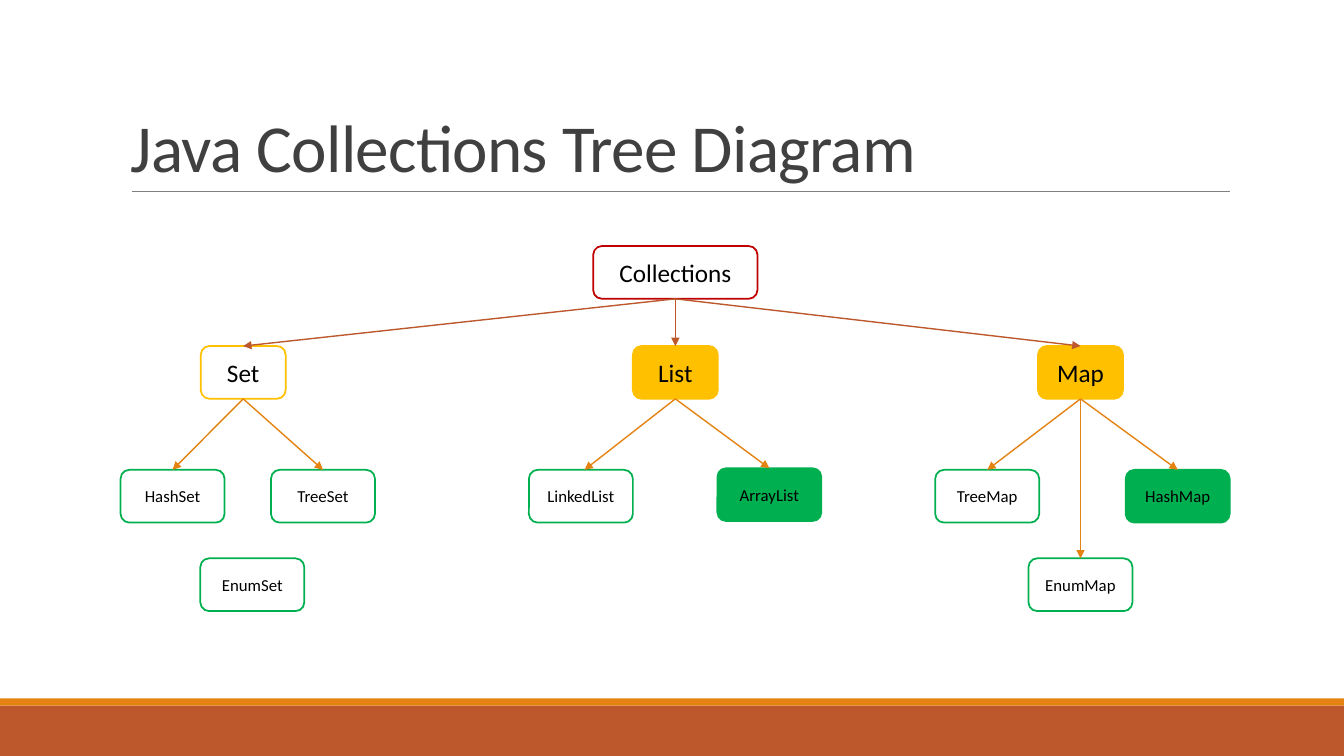
from dataclasses import dataclass

from lxml.etree import SubElement
from pptx import Presentation
from pptx.dml.color import RGBColor
from pptx.enum.shapes import MSO_CONNECTOR as Link, MSO_SHAPE as Form
from pptx.enum.text import MSO_ANCHOR as Anchor, PP_ALIGN as Align
from pptx.oxml.ns import qn
from pptx.shapes.autoshape import Shape
from pptx.shapes.connector import Connector
from pptx.slide import Slide
from pptx.text.text import _Run as Run
from pptx.util import Cm, Pt

WHITE, BLACK, GREY, DARK = "FFFFFF", "000000", "808080", "404040"
RED, GOLD, GREEN = "C00000", "FFC000", "00B050"
RUST, AMBER = "BD582C", "E48312"
HIGH = 1.33


@dataclass(frozen=True)
class Level:
    wide: float
    size: int
    edge: str
    arrow: str = ""


ROOT = Level(4.14, 18, RED)
KIND = Level(2.14, 18, GOLD, RUST)
LEAF = Level(2.62, 12, GREEN, AMBER)


@dataclass(frozen=True)
class Node:
    """A box by centre and top in cm; tip shifts the arrow end sideways."""
    text: str
    level: Level
    mid: float
    top: float
    up: str = ""
    full: bool = False
    tip: float = 0


NODES = [
    Node("Collections", ROOT, 17.02, 6.2),
    Node("Set", KIND, 6.13, 8.72, "Collections"),
    Node("List", KIND, 17.02, 8.72, "Collections", True),
    Node("Map", KIND, 27.23, 8.72, "Collections", True),
    Node("HashSet", LEAF, 4.35, 11.84, "Set"),
    Node("EnumSet", LEAF, 6.36, 14.07),
    Node("TreeSet", LEAF, 8.14, 11.84, "Set"),
    Node("LinkedList", LEAF, 14.64, 11.84, "List", tip=0.09),
    Node("ArrayList", LEAF, 19.39, 11.8, "List", True),
    Node("TreeMap", LEAF, 24.88, 11.84, "Map"),
    Node("EnumMap", LEAF, 27.23, 14.07, "Map"),
    Node("HashMap", LEAF, 29.68, 11.84, "Map", True),
]


def tint(code: str) -> RGBColor:
    return RGBColor.from_string(code)


def style(run: Run, size: int, code: str) -> None:
    for key, value in {"name": "Calibri", "size": Pt(size)}.items():
        setattr(run.font, key, value)
    run.font.color.rgb = tint(code)


def block(slide: Slide, form: Form, left: float, top: float,
          wide: float, high: float, fill: str) -> Shape:
    shape = slide.shapes.add_shape(form, Cm(left), Cm(top), Cm(wide), Cm(high))
    shape.shadow.inherit = False
    shape.fill.solid()
    shape.fill.fore_color.rgb = tint(fill)
    shape.line.fill.background()
    return shape


def stroke(slide: Slide, x: float, y: float, to_x: float, to_y: float,
           code: str, width: float) -> Connector:
    """Draw a straight line without a shadow."""
    line = slide.shapes.add_connector(
        Link.STRAIGHT, Cm(x), Cm(y), Cm(to_x), Cm(to_y))
    line.line.color.rgb = tint(code)
    line.line.width = Pt(width)
    SubElement(line._element.spPr, qn("a:effectLst"))
    return line


def title(slide: Slide, text: str) -> None:
    box = slide.shapes.add_textbox(Cm(3.05), Cm(0.79), Cm(27.94), Cm(4.03))
    frame = box.text_frame
    frame.word_wrap = True
    frame.vertical_anchor = Anchor.BOTTOM
    para = frame.paragraphs[0]
    para.line_spacing = 0.85
    run = para.add_run()
    run.text = text
    style(run, 48, DARK)
    run._r.get_or_add_rPr().set("spc", "-50")


def card(slide: Slide, node: Node) -> Shape:
    level = node.level
    shape = block(slide, Form.ROUNDED_RECTANGLE, node.mid - level.wide / 2,
                  node.top, level.wide, HIGH, level.edge if node.full else WHITE)
    shape.line.color.rgb = tint(level.edge)
    shape.line.width = Pt(1.25)
    frame = shape.text_frame
    frame.word_wrap = True
    frame.vertical_anchor = Anchor.MIDDLE
    para = frame.paragraphs[0]
    para.alignment = Align.CENTER
    run = para.add_run()
    run.text = node.text
    style(run, level.size, BLACK)
    return shape


def branch(slide: Slide, up: Node, node: Node, cards: dict[str, Shape]) -> None:
    """Draw an arrow from the foot of the parent to the top of the child."""
    line = stroke(slide, up.mid, up.top + HIGH, node.mid + node.tip, node.top,
                  node.level.arrow, 1)
    line.begin_connect(cards[up.text], 2)
    if not node.tip:
        line.end_connect(cards[node.text], 0)
    SubElement(line._element.spPr.find(qn("a:ln")), qn("a:tailEnd"),
               type="triangle")


def main() -> None:
    deck = Presentation()
    deck.slide_width, deck.slide_height = Cm(33.87), Cm(19.05)
    slide = deck.slides.add_slide(deck.slide_layouts[6])
    block(slide, Form.RECTANGLE, 0, 17.78, 33.87, 1.27, RUST)
    block(slide, Form.RECTANGLE, 0, 17.6, 33.87, 0.18, AMBER)
    stroke(slide, 3.32, 4.82, 31, 4.82, GREY, 0.5)
    title(slide, "Java Collections Tree Diagram")

    cards = {node.text: card(slide, node) for node in NODES}
    names = {node.text: node for node in NODES}
    for node in NODES:
        if node.up:
            branch(slide, names[node.up], node, cards)
    deck.save("out.pptx")


if __name__ == "__main__":
    main()
